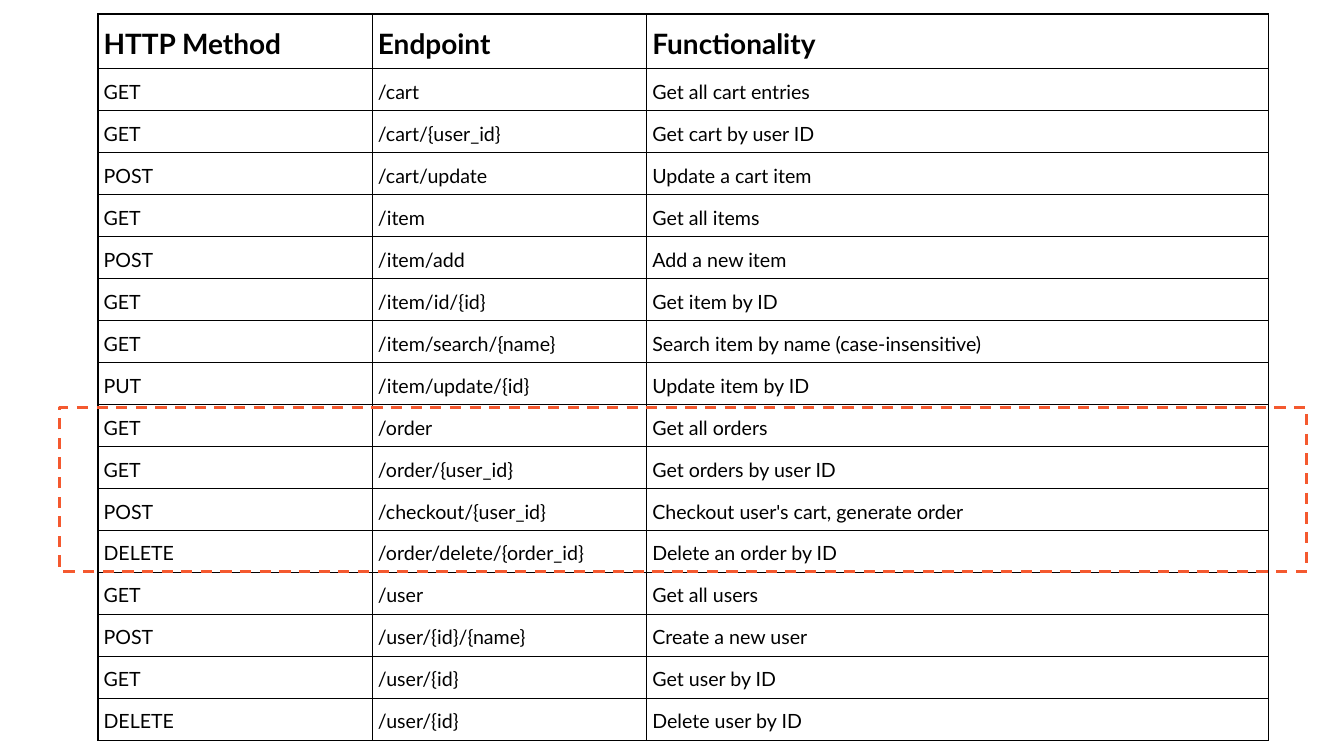
from lxml.etree import SubElement
from pptx import Presentation
from pptx.dml.color import RGBColor
from pptx.enum.dml import MSO_LINE_DASH_STYLE as Dash
from pptx.enum.shapes import MSO_SHAPE as Shape
from pptx.enum.text import MSO_ANCHOR as Anchor
from pptx.oxml.ns import qn
from pptx.util import Emu, Pt

PX = 9525
FONT = "Lato"
COLORS = {"ink": "000000", "paper": "FFFFFF", "highlight": "F4592F"}
HEADINGS = ("HTTP Method", "Endpoint", "Functionality")
ENDPOINTS = [
    ("GET", "/cart", "Get all cart entries"),
    ("GET", "/cart/{user_id}", "Get cart by user ID"),
    ("POST", "/cart/update", "Update a cart item"),
    ("GET", "/item", "Get all items"),
    ("POST", "/item/add", "Add a new item"),
    ("GET", "/item/id/{id}", "Get item by ID"),
    ("GET", "/item/search/{name}", "Search item by name (case-insensitive)"),
    ("PUT", "/item/update/{id}", "Update item by ID"),
    ("GET", "/order", "Get all orders"),
    ("GET", "/order/{user_id}", "Get orders by user ID"),
    ("POST", "/checkout/{user_id}", "Checkout user's cart, generate order"),
    ("DELETE", "/order/delete/{order_id}", "Delete an order by ID"),
    ("GET", "/user", "Get all users"),
    ("POST", "/user/{id}/{name}", "Create a new user"),
    ("GET", "/user/{id}", "Get user by ID"),
    ("DELETE", "/user/{id}", "Delete user by ID"),
]


def px(length):
    return Emu(length * PX)


def color(name):
    return RGBColor.from_string(COLORS[name])


class SlideBuilder:
    """Hold the style and the current slide, and add elements to it."""

    def __init__(self, page):
        self.page = page
        fill = page.background.fill
        fill.solid()
        fill.fore_color.rgb = color("paper")

    def table(self, left, top, widths, heights, rows):
        frame = self.page.shapes.add_table(
            len(rows), len(widths), px(left), px(top), px(sum(widths)), px(sum(heights))
        )
        table = frame.table
        table.first_row = table.horz_banding = False
        for column, width in zip(table.columns, widths):
            column.width = px(width)
        for index, (row, height, texts) in enumerate(zip(table.rows, heights, rows)):
            row.height = px(height)
            for cell, text in zip(row.cells, texts):
                self.cell(cell, text, heading=index == 0)

    def cell(self, cell, text, heading):
        size = 30 if heading else 21
        cell.margin_left = cell.margin_right = px(8)
        cell.margin_top = cell.margin_bottom = px(8)
        cell.vertical_anchor = Anchor.MIDDLE
        self.borders(cell)
        cell.fill.background()
        para = cell.text_frame.paragraphs[0]
        para.line_spacing = Pt(size * 1.4)
        span = para.add_run()
        span.text = text
        span.font.name = FONT
        span.font.size = Pt(size)
        span.font.bold = heading
        span.font.color.rgb = color("ink")

    def borders(self, cell):
        properties = cell._tc.get_or_add_tcPr()
        for side in ("a:lnL", "a:lnR", "a:lnT", "a:lnB"):
            line = SubElement(properties, qn(side), w=str(Pt(1.5)))
            fill = SubElement(line, qn("a:solidFill"))
            SubElement(fill, qn("a:srgbClr"), val=COLORS["ink"])

    def dashed_box(self, left, top, width, height):
        box = self.page.shapes.add_shape(
            Shape.RECTANGLE, px(left), px(top), px(width), px(height)
        )
        box.shadow.inherit = False
        box.fill.background()
        box.line.color.rgb = color("highlight")
        box.line.width = Pt(3)
        box.line.dash_style = Dash.DASH


def main():
    deck = Presentation()
    deck.slide_width, deck.slide_height = px(1920), px(1080)
    builder = SlideBuilder(deck.slides.add_slide(deck.slide_layouts[6]))
    heights = [78] + [60] * len(ENDPOINTS)
    builder.table(140, 20, (392, 392, 888), heights, [HEADINGS, *ENDPOINTS])
    builder.dashed_box(85, 582, 1782, 234)
    deck.save("out.pptx")


if __name__ == "__main__":
    main()
